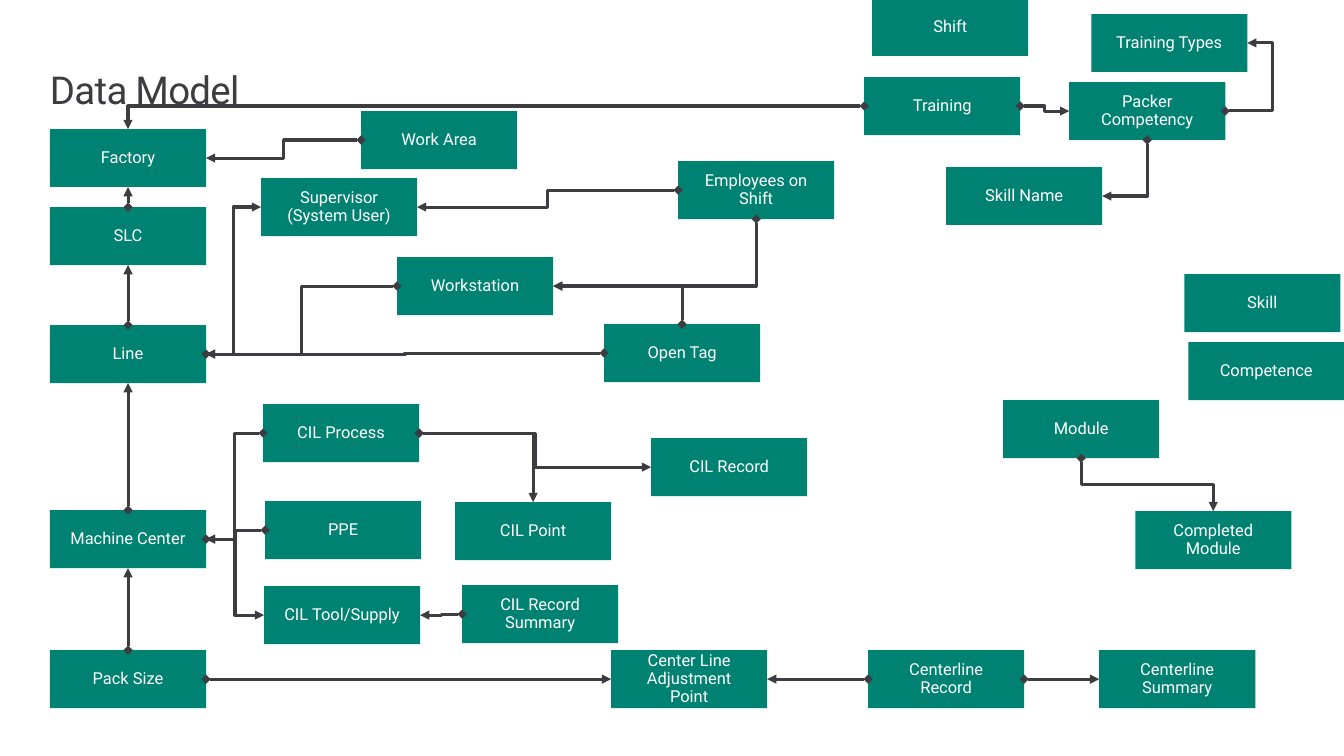
from lxml import etree
from pptx import Presentation
from pptx.dml.color import RGBColor
from pptx.enum.shapes import MSO_CONNECTOR, MSO_SHAPE
from pptx.enum.text import MSO_ANCHOR, MSO_AUTO_SIZE, PP_ALIGN
from pptx.oxml.ns import qn
from pptx.util import Inches, Pt

RECTANGLE = MSO_SHAPE.RECTANGLE
ELBOW = MSO_CONNECTOR.ELBOW
TOP_ANCHOR, MIDDLE_ANCHOR = MSO_ANCHOR.TOP, MSO_ANCHOR.MIDDLE
NO_AUTOFIT = MSO_AUTO_SIZE.NONE
LEFT_ALIGN, CENTER_ALIGN = PP_ALIGN.LEFT, PP_ALIGN.CENTER
TOP, LEFT, BOTTOM, RIGHT = range(4)

EMU_PER_PX = 9255
BOX_WIDTH, BOX_HEIGHT = 156, 58
TITLE_ONLY_LAYOUT = 5
COLORS = {"ink": "3C3C41", "entity": "008272", "label": "FFFFFF"}
FONT = "Roboto"

ENTITIES = {
    "Factory": (50, 129),
    "SLC": (50, 207),
    "Line": (50, 325),
    "Machine Center": (50, 510),
    "Pack Size": (50, 650),
    "Work Area": (361, 111),
    "Supervisor\n(System User)": (261, 178),
    "Workstation": (397, 257),
    "Employees on Shift": (678, 161),
    "Open Tag": (604, 324),
    "CIL Process": (263, 404),
    "PPE": (265, 501),
    "CIL Tool/Supply": (264, 586),
    "CIL Point": (455, 502),
    "CIL Record": (651, 438),
    "CIL Record Summary": (462, 585),
    "Center Line Adjustment Point": (611, 650),
    "Centerline Record": (868, 650),
    "Centerline Summary": (1099, 650),
    "Shift": (872, -2),
    "Training": (864, 77),
    "Training Types": (1091, 14),
    "Packer Competency": (1069, 82),
    "Skill Name": (946, 167),
    "Skill": (1184, 274),
    "Competence": (1188, 342),
    "Module": (1003, 400),
    "Completed Module": (1135, 511),
}

RELATIONS = [
    ("SLC", TOP, "Factory", BOTTOM),
    ("Line", TOP, "SLC", BOTTOM),
    ("Machine Center", TOP, "Line", BOTTOM),
    ("Pack Size", TOP, "Machine Center", BOTTOM),
    ("Work Area", LEFT, "Factory", RIGHT),
    ("Training", LEFT, "Factory", TOP),
    ("Line", RIGHT, "Supervisor\n(System User)", LEFT),
    ("Workstation", LEFT, "Line", RIGHT),
    ("Open Tag", LEFT, "Line", RIGHT),
    ("Open Tag", TOP, "Workstation", RIGHT),
    ("Employees on Shift", LEFT, "Supervisor\n(System User)", RIGHT),
    ("Employees on Shift", BOTTOM, "Workstation", RIGHT),
    ("CIL Process", LEFT, "Machine Center", RIGHT),
    ("PPE", LEFT, "Machine Center", RIGHT),
    ("Machine Center", RIGHT, "CIL Tool/Supply", LEFT),
    ("CIL Process", RIGHT, "CIL Point", TOP),
    ("CIL Process", RIGHT, "CIL Record", LEFT),
    ("CIL Record Summary", LEFT, "CIL Tool/Supply", RIGHT),
    ("Pack Size", RIGHT, "Center Line Adjustment Point", LEFT),
    ("Centerline Record", LEFT, "Center Line Adjustment Point", RIGHT),
    ("Centerline Record", RIGHT, "Centerline Summary", LEFT),
    ("Training", RIGHT, "Packer Competency", LEFT),
    ("Packer Competency", BOTTOM, "Skill Name", RIGHT),
    ("Packer Competency", RIGHT, "Training Types", RIGHT, 2.13),
    ("Module", BOTTOM, "Completed Module", TOP),
]


def px(length):
    return length * EMU_PER_PX


class DataModelSlide:
    """Draws entities and their relations on one slide in a shared style."""

    def __init__(self, presentation):
        layout = presentation.slide_layouts[TITLE_ONLY_LAYOUT]
        self.slide = presentation.slides.add_slide(layout)
        self.boxes = {}

    def color(self, name):
        return RGBColor.from_string(COLORS[name])

    def format(self, paragraph, size, color, alignment, spacing):
        paragraph.alignment = alignment
        paragraph.line_spacing = spacing
        font = paragraph.font
        font.name, font.size = FONT, Pt(size)
        font.color.rgb = self.color(color)

    def title(self, text, left, top, width, height):
        shape = self.slide.shapes.title
        shape.left, shape.top = px(left), px(top)
        shape.width, shape.height = px(width), px(height)
        frame = shape.text_frame
        frame.text = text
        frame.auto_size = NO_AUTOFIT
        frame.vertical_anchor = TOP_ANCHOR
        frame.margin_left = frame.margin_right = 0
        frame.margin_top = frame.margin_bottom = 0
        paragraph = frame.paragraphs[0]
        self.format(paragraph, 28, "ink", LEFT_ALIGN, Pt(32))
        paragraph._p.pPr.find(qn("a:defRPr")).set("spc", "-50")

    def entity(self, name, left, top):
        shape = self.slide.shapes.add_shape(
            RECTANGLE, px(left), px(top), px(BOX_WIDTH), px(BOX_HEIGHT))
        shape.shadow.inherit = False
        shape.fill.solid()
        shape.fill.fore_color.rgb = self.color("entity")
        shape.line.fill.background()
        frame = shape.text_frame
        frame.text = name
        frame.word_wrap = True
        frame.vertical_anchor = MIDDLE_ANCHOR
        frame.margin_left = frame.margin_right = px(19)
        frame.margin_top = frame.margin_bottom = px(16)
        for paragraph in frame.paragraphs:
            self.format(paragraph, 12, "label", CENTER_ALIGN, 0.9)
        self.boxes[name] = shape

    def relation(self, source, source_side, target, target_side, bend=0.5):
        connector = self.slide.shapes.add_connector(ELBOW, 0, 0, 0, 0)
        connector.begin_connect(self.boxes[source], source_side)
        connector.end_connect(self.boxes[target], target_side)
        connector.line.color.rgb = self.color("ink")
        connector.line.width = Pt(2.25)
        properties = connector._element.spPr
        line = properties.find(qn("a:ln"))
        etree.SubElement(line, qn("a:headEnd"), type="diamond")
        etree.SubElement(line, qn("a:tailEnd"), type="triangle")
        etree.SubElement(properties, qn("a:effectLst"))
        geometry = properties.find(qn("a:prstGeom"))
        if source_side % 2 != target_side % 2:
            geometry.set("prst", "bentConnector2")
        elif bend != 0.5:
            etree.SubElement(geometry.find(qn("a:avLst")), qn("a:gd"),
                             name="adj1", fmla=f"val {round(bend * 100000)}")
        if source_side in (TOP, BOTTOM):
            self.turn(connector)

    def turn(self, connector):
        across = connector.end_x - connector.begin_x
        down = connector.end_y - connector.begin_y
        center_x = (connector.begin_x + connector.end_x) // 2
        center_y = (connector.begin_y + connector.end_y) // 2
        connector.width, connector.height = abs(down), abs(across)
        connector.left = center_x - abs(down) // 2
        connector.top = center_y - abs(across) // 2
        transform = connector._element.spPr.find(qn("a:xfrm"))
        transform.set("rot", "5400000")
        transform.set("flipH", str(int(down < 0)))
        transform.set("flipV", str(int(across > 0)))


def main():
    presentation = Presentation()
    presentation.slide_width = Inches(13.6)
    presentation.slide_height = Inches(7.65)
    data_model = DataModelSlide(presentation)
    data_model.title("Data Model", 50, 68, 1246, 44)
    for name, position in ENTITIES.items():
        data_model.entity(name, *position)
    for relation in RELATIONS:
        data_model.relation(*relation)
    presentation.save("out.pptx")


if __name__ == "__main__":
    main()
